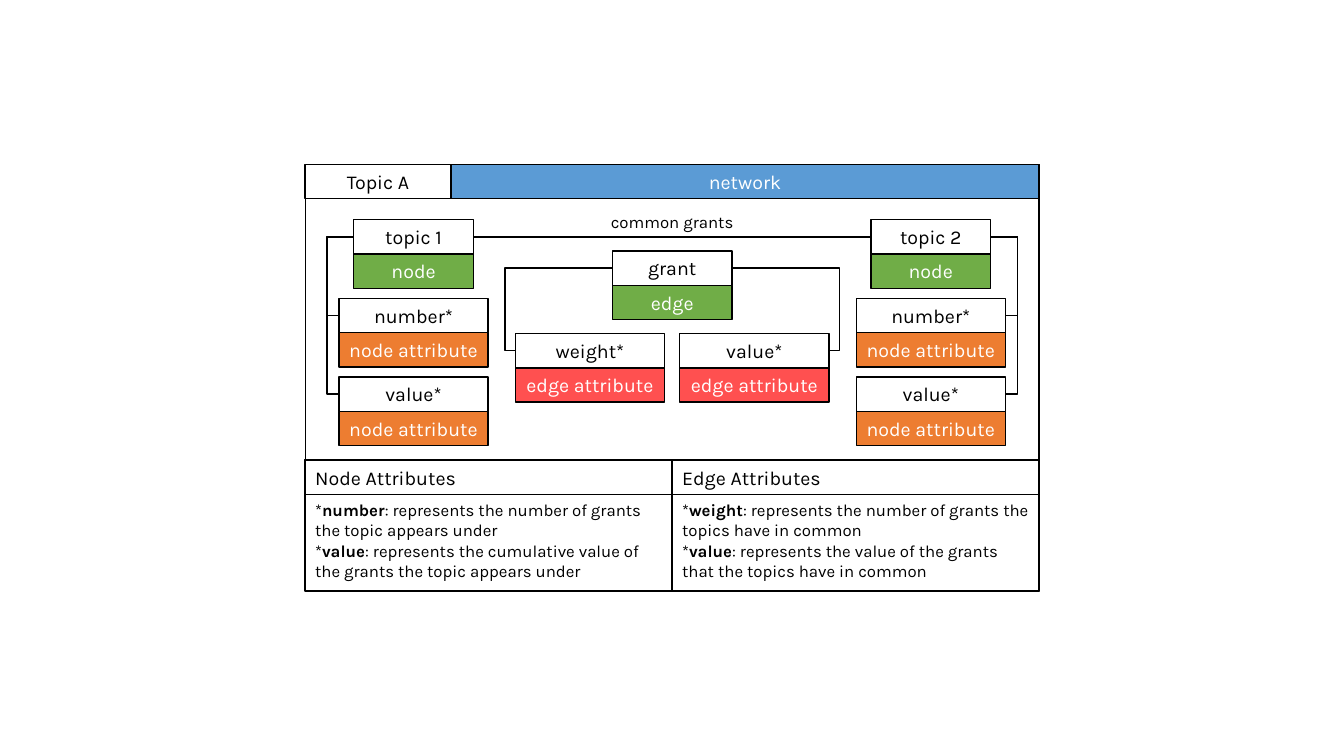
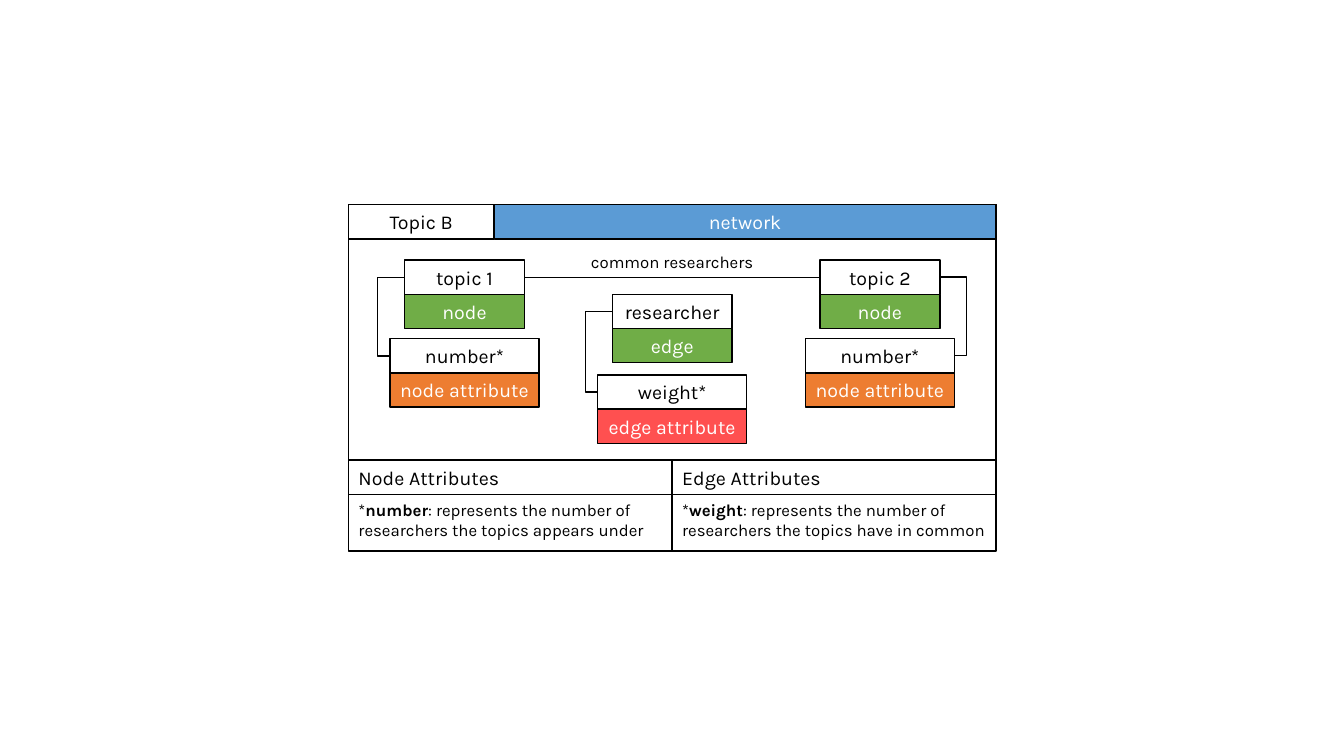
from lxml.etree import SubElement
from pptx import Presentation
from pptx.dml.color import RGBColor
from pptx.enum.shapes import MSO_CONNECTOR, MSO_SHAPE
from pptx.enum.text import MSO_ANCHOR, PP_ALIGN
from pptx.oxml.ns import qn
from pptx.util import Inches, Pt

# Shared style; lengths are cells of a square grid, ten to the inch
FONT = "Karla"
BLACK, WHITE = "000000", "FFFFFF"
BLUE, GREEN, ORANGE, RED = "5B9BD5", "70AD47", "ED7D31", "FF5050"
MID = 66.67            # vertical axis of the slide
ROW = 3.4              # height of every label
HEAD_W, ATTR_W = 11.9, 14.8
TAG_W = 14.45
LABEL_W = 18.6
STEP = 7.8             # from one node pair to the next
PANEL_Y = 45.65        # top of the definitions
LEFT, RIGHT = 1, 3     # connection sites of a rectangle


def rgb(color):
    return RGBColor.from_string(color)


def grid(cells):
    return Inches(cells / 10)


class Diagram:
    def __init__(self, prs):
        self.prs = prs
        self.s = None

    def new_slide(self):
        self.s = self.prs.slides.add_slide(self.prs.slide_layouts[6])

    def set_text(self, tf, paragraphs, size, color, align):
        """Each paragraph is a list of (text, bold) runs."""
        tf.word_wrap = align == PP_ALIGN.LEFT
        tf.vertical_anchor = MSO_ANCHOR.MIDDLE
        for i, runs in enumerate(paragraphs):
            p = tf.paragraphs[0] if i == 0 else tf.add_paragraph()
            p.alignment = align
            p.font.name, p.font.size = FONT, Pt(size)
            p.font.color.rgb = rgb(color)
            for text, bold in runs:
                r = p.add_run()
                r.text = text
                if bold:
                    r.font.bold = True

    def box(self, x, y, w, h, text="", fill=None, align=PP_ALIGN.CENTER):
        sp = self.s.shapes.add_shape(MSO_SHAPE.RECTANGLE, *map(grid, (x, y, w, h)))
        sp.shadow.inherit = False
        sp.line.color.rgb, sp.line.width = rgb(BLACK), Pt(1)
        if fill:
            sp.fill.solid()
            sp.fill.fore_color.rgb = rgb(fill)
        else:
            sp.fill.background()
        if text:
            color = WHITE if fill else BLACK
            self.set_text(sp.text_frame, [[(text, False)]], 14, color, align)
        return sp

    def text(self, x, y, w, h, paragraphs, align=PP_ALIGN.LEFT):
        tb = self.s.shapes.add_textbox(*map(grid, (x, y, w, h)))
        self.set_text(tb.text_frame, paragraphs, 12, BLACK, align)

    def pair(self, center, y, w, name, kind, fill):
        """A name above its coloured kind; returns the name box."""
        x = center - w / 2
        top = self.box(x, y, w, ROW, name)
        self.box(x, y + ROW, w, ROW, kind, fill)
        return top

    def connect(self, kind, start, start_site, end, end_site):
        con = self.s.shapes.add_connector(kind, 0, 0, 0, 0)
        con.begin_connect(start, start_site)
        con.end_connect(end, end_site)
        con.line.color.rgb, con.line.width = rgb(BLACK), Pt(1)
        SubElement(con._element.spPr, qn("a:effectLst"))
        return con

    def bracket(self, attribute, head, side, reach=1.2):
        """An elbow that leaves an attribute outwards and returns to its head."""
        con = self.connect(MSO_CONNECTOR.ELBOW, attribute, side, head, side)
        spPr = con._element.spPr
        bend = round(-grid(reach) / con.width * 100000)
        guides = spPr.find(qn("a:prstGeom")).find(qn("a:avLst"))
        SubElement(guides, qn("a:gd"), name="adj1", fmla=f"val {bend}")
        if side == LEFT:
            # A half turn with a horizontal flip equals a vertical flip
            xfrm = spPr.find(qn("a:xfrm"))
            xfrm.attrib.pop("flipV", None)
            xfrm.set("rot", "10800000")
            xfrm.set("flipH", "1")

    def frame(self, top, half, title, panel_h):
        x = MID - half
        self.box(x, top, 2 * half, PANEL_Y + panel_h - top, fill=WHITE)
        self.box(x + TAG_W, top, 2 * half - TAG_W, ROW, "network", BLUE)
        self.box(x, top, TAG_W, ROW, title)

    def nodes(self, top, offset, relation, attributes):
        """Two topics with their attributes, joined by a labelled line."""
        heads = []
        y = top + 5.5
        for i, (sign, side) in enumerate([(-1, LEFT), (1, RIGHT)], 1):
            center = MID + sign * offset
            head = self.pair(center, y, HEAD_W, f"topic {i}", "node", GREEN)
            heads.append(head)
            for n, name in enumerate(attributes, 1):
                attribute = self.pair(center, y + n * STEP, ATTR_W, name,
                                      "node attribute", ORANGE)
                self.bracket(attribute, head, side)
        self.connect(MSO_CONNECTOR.STRAIGHT, heads[0], RIGHT, heads[1], LEFT)
        self.text(MID - LABEL_W / 2, top + 4.2, LABEL_W, 3,
                  [[(relation, False)]], PP_ALIGN.CENTER)

    def edge(self, y, name, attr_y, attributes, reach):
        """Attributes are (name, offset from the axis, bracket side)."""
        head = self.pair(MID, y, HEAD_W, name, "edge", GREEN)
        for attr_name, offset, side in attributes:
            attribute = self.pair(MID + offset, attr_y, ATTR_W, attr_name,
                                  "edge attribute", RED)
            self.bracket(attribute, head, side, reach)

    def definitions(self, half, panel_h, body_h, columns):
        for i, (title, terms) in enumerate(columns):
            x = MID + (i - 1) * half
            self.box(x, PANEL_Y, half, panel_h)
            self.box(x, PANEL_Y, half, ROW, title, align=PP_ALIGN.LEFT)
            paragraphs = [[("*", False), (term, True), (f": represents {meaning}", False)]
                          for term, meaning in terms]
            self.text(x, PANEL_Y + ROW, half, body_h, paragraphs)


prs = Presentation()
prs.slide_width, prs.slide_height = Inches(13.33), Inches(7.5)
d = Diagram(prs)

# Slide 1: topics joined by grants
d.new_slide()
top, half, panel_h = 16.3, 36.4, 13
d.frame(top, half, "Topic A", panel_h)
d.nodes(top, 25.65, "common grants", ["number*", "value*"])
d.edge(24.9, "grant", 33.1,
       [("weight*", -8.15, LEFT), ("value*", 8.15, RIGHT)], reach=1.05)
d.definitions(half, panel_h, 9.1, [
    ("Node Attributes", [
        ("number", "the number of grants the topic appears under"),
        ("value", "the cumulative value of the grants the topic appears under")]),
    ("Edge Attributes", [
        ("weight", "the number of grants the topics have in common"),
        ("value", "the value of the grants that the topics have in common")]),
])

# Slide 2: topics joined by researchers
d.new_slide()
top, half, panel_h = 20.3, 32.1, 9
d.frame(top, half, "Topic B", panel_h)
d.nodes(top, 20.6, "common researchers", ["number*"])
d.edge(29.2, "researcher", 37.2, [("weight*", 0, LEFT)], reach=1.2)
d.definitions(half, panel_h, 5, [
    ("Node Attributes", [
        ("number", "the number of researchers the topics appears under")]),
    ("Edge Attributes", [
        ("weight", "the number of researchers the topics have in common")]),
])

prs.save("out.pptx")
